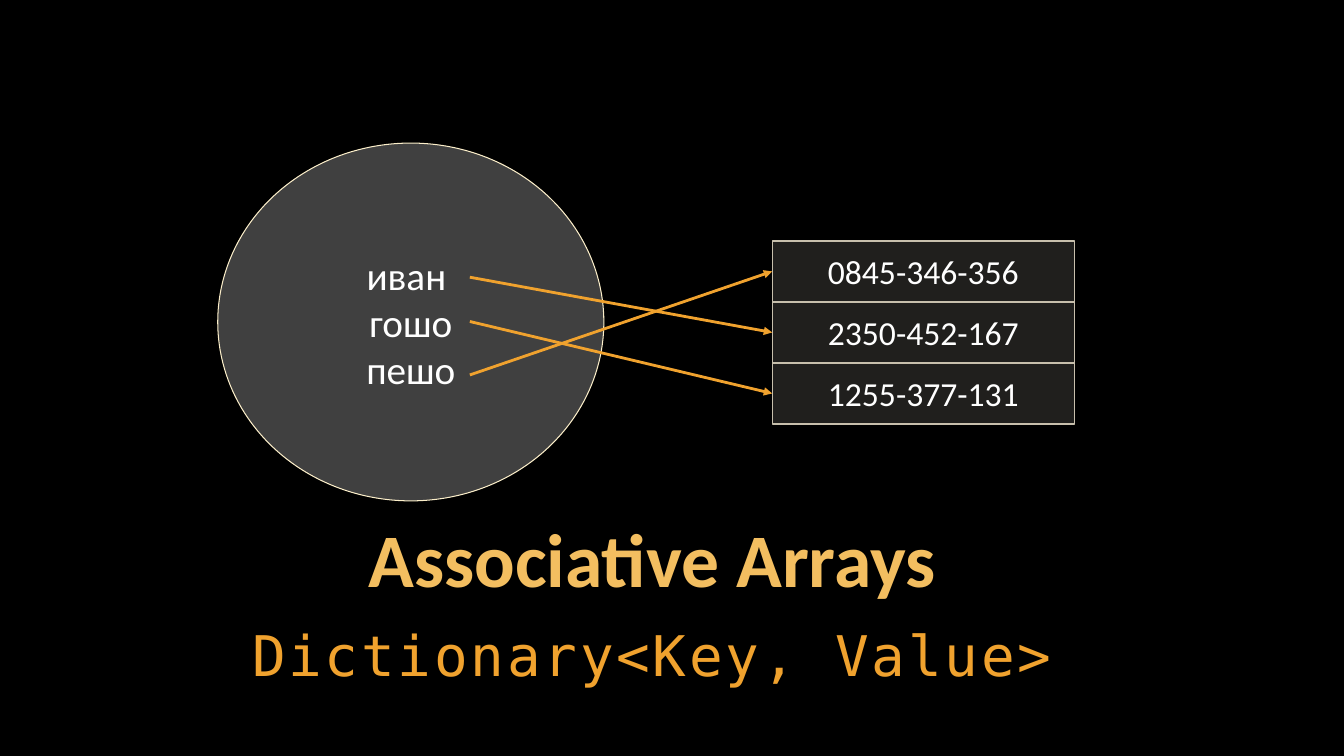
from dataclasses import dataclass

from lxml import etree
from pptx import Presentation
from pptx import util as u
from pptx.dml.color import RGBColor
from pptx.enum import shapes, text
from pptx.oxml.ns import qn

COLUMNS = ROWS = 100
ORANGE, WHITE = "F0A22E", "FFFFFF"

deck = Presentation()
deck.slide_width, deck.slide_height = u.Inches(13.33), u.Inches(7.5)
page = deck.slides.add_slide(deck.slide_layouts[6])


@dataclass
class Area:
    """A rectangle in grid columns and rows."""
    left: float
    top: float
    width: float
    height: float


@dataclass
class Style:
    size: float
    color: str = WHITE
    font: str = "Calibri"
    bold: bool = False
    letter_spacing: float = 0
    line_spacing: float | u.Length = 1.0
    space_after: float = 0
    anchor: text.MSO_ANCHOR = text.MSO_ANCHOR.TOP
    margins: tuple[float, float] = (0.04, 0.04)


@dataclass
class Entry:
    """A key's row on the slide and the index of the value it points to."""
    key: str
    row: float
    value_index: int


def column(count: float) -> int:
    return round(deck.slide_width * count / COLUMNS)


def row(count: float) -> int:
    return round(deck.slide_height * count / ROWS)


def place(area: Area) -> tuple[int, int, int, int]:
    return column(area.left), row(area.top), column(area.width), row(area.height)


def paint(target, color: str) -> None:
    """Give a fill one solid colour."""
    target.solid()
    target.fore_color.rgb = RGBColor.from_string(color)


def write(box, content: str, style: Style) -> None:
    frame = box.text_frame
    frame.text = content
    frame.word_wrap = True
    frame.vertical_anchor = style.anchor
    frame.margin_left = frame.margin_right = u.Inches(style.margins[0])
    frame.margin_top = frame.margin_bottom = u.Inches(style.margins[1])
    for para in frame.paragraphs:
        para.alignment = text.PP_ALIGN.CENTER
        para.line_spacing = style.line_spacing
        para.space_after = u.Pt(style.space_after)
        for span in para.runs:
            span.font.size = u.Pt(style.size)
            span.font.name = style.font
            span.font.bold = style.bold
            paint(span.font.fill, style.color)
            if style.letter_spacing:
                span._r.get_or_add_rPr().set("spc", str(round(style.letter_spacing * 100)))


def add_caption(area: Area, content: str, style: Style) -> None:
    write(page.shapes.add_textbox(*place(area)), content, style)


def add_panel(kind: shapes.MSO_SHAPE, area: Area, fill: str, opacity: int,
              outline: str, weight: float, content: str, style: Style) -> None:
    """Draw a translucent outlined shape with text; opacity is in percent."""
    panel = page.shapes.add_shape(kind, *place(area))
    panel.shadow.inherit = False
    paint(panel.fill, fill)
    tint = panel._element.spPr.find(qn("a:solidFill"))[0]
    etree.SubElement(tint, qn("a:alpha"), val=str(opacity * 1000))
    paint(panel.line.fill, outline)
    panel.line.width = u.Pt(weight)
    write(panel, content, style)


def add_arrow(start: tuple[float, float], end: tuple[float, float]) -> None:
    arrow = page.shapes.add_connector(
        shapes.MSO_CONNECTOR.STRAIGHT,
        column(start[0]), row(start[1]), column(end[0]), row(end[1]))
    paint(arrow.line.fill, ORANGE)
    arrow.line.width = u.Pt(2)
    etree.SubElement(arrow.line._get_or_add_ln(), qn("a:tailEnd"), type="triangle")
    etree.SubElement(arrow._element.spPr, qn("a:effectLst"))


TITLE = Style(54, "F3BE60", bold=True, line_spacing=u.Pt(54),
              anchor=text.MSO_ANCHOR.BOTTOM)
SUBTITLE = Style(40, ORANGE, "DejaVu Sans Mono", letter_spacing=2,
                 line_spacing=1.05, space_after=6)
KEY = Style(28, anchor=text.MSO_ANCHOR.MIDDLE, margins=(0.1, 0.05))
VALUE = Style(24, margins=(0.2, 0.1))

ENTRIES = [Entry("иван ", 36.67, 1), Entry("гошо", 42.53, 2), Entry("пешо", 49.6, 0)]
VALUES = ["0845-346-356", "2350-452-167", "1255-377-131"]
KEY_EDGE = 34.96
FIRST_CELL = Area(57.46, 31.87, 22.5, 8.07)

paint(page.background.fill, "000000")
add_caption(Area(11.85, 68.93, 73.37, 11.33), "Associative Arrays", TITLE)
add_caption(Area(11.85, 81.07, 73.37, 10), "Dictionary<Key, Value>", SUBTITLE)

add_panel(shapes.MSO_SHAPE.OVAL, Area(16.2, 18.93, 28.73, 47.33), "808080", 50,
          "FBEEC9", 0.75, "\n".join(entry.key for entry in ENTRIES), KEY)

for entry in ENTRIES:
    middle = FIRST_CELL.top + (entry.value_index + 0.5) * FIRST_CELL.height
    add_arrow((KEY_EDGE, entry.row), (FIRST_CELL.left, middle))

for index, value in enumerate(VALUES):
    cell = Area(FIRST_CELL.left, FIRST_CELL.top + index * FIRST_CELL.height,
                FIRST_CELL.width, FIRST_CELL.height)
    add_panel(shapes.MSO_SHAPE.RECTANGLE, cell, "D9D5C7", 15, "C7BFAC", 1, value, VALUE)

deck.save("out.pptx")
